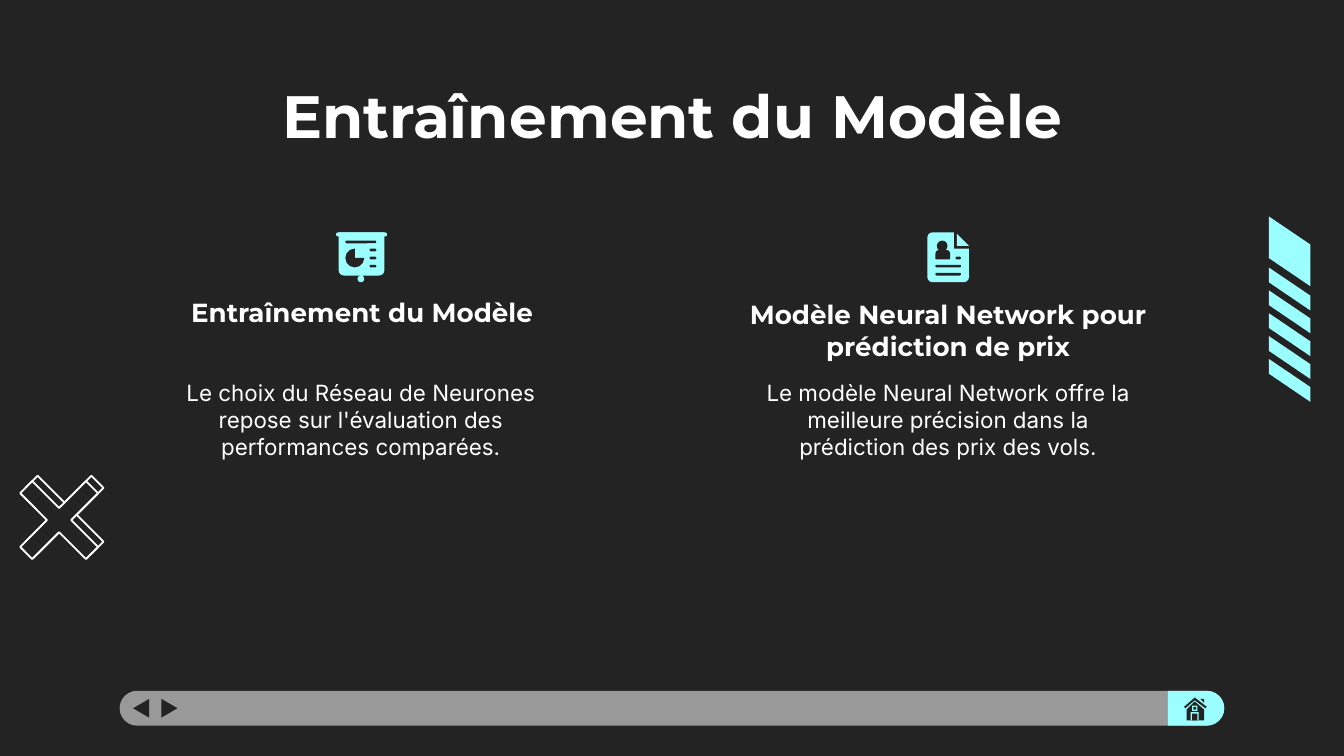
"""Builds the "Entraînement du Modèle" slide with its icons and navigation bar."""
from pptx import Presentation
from pptx.dml.color import RGBColor
from pptx.enum.shapes import MSO_SHAPE as Shape
from pptx.enum.text import MSO_ANCHOR as Anchor, PP_ALIGN as Align
from pptx.util import Inches, Pt

COLORS = {"dark": "232323", "cyan": "9CFFFF", "grey": "999999", "white": "FFFFFF"}


def rgb(name):
    return RGBColor.from_string(COLORS[name])


def paint(shape, color, outline=None):
    shape.shadow.inherit = False
    shape.fill.solid()
    shape.fill.fore_color.rgb = rgb(color)
    if outline:
        shape.line.color.rgb = rgb(outline)
        shape.line.width = Pt(1)
    else:
        shape.line.fill.background()


def add_preset(page, kind, area, color, adjust=(), rotation=0):
    shape = page.shapes.add_shape(kind, *map(Inches, area))
    for index, value in enumerate(adjust):
        shape.adjustments[index] = value
    shape.rotation = rotation
    paint(shape, color)


def add_polygon(page, points, color, outline=None):
    corners = [(Inches(x), Inches(y)) for x, y in points]
    builder = page.shapes.build_freeform(*corners[0])
    builder.add_line_segments(corners[1:], close=True)
    paint(builder.convert_to_shape(), color, outline)


def add_text(page, area, text, size, font, bold=False, anchor=Anchor.TOP):
    box = page.shapes.add_textbox(*map(Inches, area))
    frame = box.text_frame
    frame.word_wrap = True
    frame.vertical_anchor = anchor
    frame.margin_left = frame.margin_right = Inches(0.1)
    frame.margin_top = frame.margin_bottom = Inches(0.1)
    para = frame.paragraphs[0]
    para.text = text
    para.alignment = Align.CENTER
    para.font.size = Pt(size)
    para.font.name = font
    para.font.bold = bold
    para.font.color.rgb = rgb("white")


def add_rules(page, rules):
    for left, top, width in rules:
        add_preset(page, Shape.ROUNDED_RECTANGLE, (left, top, width, 0.02), "dark", [0.5])


def add_home_icon(page):
    add_polygon(page, [(8.89, 5.19), (8.98, 5.26), (8.97, 5.27), (8.89, 5.21),
                       (8.82, 5.27), (8.81, 5.26)], "dark")
    add_polygon(page, [(8.93, 5.2), (8.96, 5.2), (8.96, 5.23)], "dark")
    add_polygon(page, [(8.89, 5.22), (8.96, 5.28), (8.96, 5.36),
                       (8.83, 5.36), (8.83, 5.28)], "dark")
    for area, color in [((8.87, 5.25, 0.04, 0.04), "cyan"),
                        ((8.88, 5.26, 0.02, 0.02), "dark"),
                        ((8.86, 5.3, 0.06, 0.06), "cyan"),
                        ((8.87, 5.31, 0.04, 0.05), "dark")]:
        add_preset(page, Shape.RECTANGLE, area, color)


def add_navigation_bar(page):
    add_preset(page, Shape.ROUNDED_RECTANGLE, (0.89, 5.14, 8.21, 0.26), "grey", [0.5])
    add_preset(page, Shape.ROUND_2_SAME_RECTANGLE, (8.77, 5.06, 0.26, 0.42), "cyan",
               [0.5, 0], 90)
    for left, rotation in [(0.98, 270), (1.19, 90)]:
        add_preset(page, Shape.ISOSCELES_TRIANGLE, (left, 5.21, 0.14, 0.12), "dark",
                   rotation=rotation)
    add_home_icon(page)


def add_cross(page, x, y):
    tip, side, notch = 0.29, 0.2, 0.09
    offsets = [(-side, -tip), (0, -notch), (side, -tip), (tip, -side),
               (notch, 0), (tip, side), (side, tip), (0, notch),
               (-side, tip), (-tip, side), (-notch, 0), (-tip, -side)]
    add_polygon(page, [(x + dx, y + dy) for dx, dy in offsets], "dark", "white")


def add_stripe(page, top, height):
    left, right, drop = 9.44, 9.75, 0.21
    add_polygon(page, [(left, top), (right, top + drop),
                       (right, top + drop + height), (left, top + height)], "cyan")


def add_board_icon(page):
    add_preset(page, Shape.ROUND_2_SAME_RECTANGLE, (2.52, 1.73, 0.34, 0.32), "cyan",
               [0, 0.12])
    add_preset(page, Shape.ROUNDED_RECTANGLE, (2.5, 1.73, 0.38, 0.03), "cyan", [0.5])
    add_preset(page, Shape.RECTANGLE, (2.68, 2.04, 0.02, 0.03), "cyan")
    add_preset(page, Shape.OVAL, (2.66, 2.05, 0.05, 0.05), "cyan")
    add_preset(page, Shape.PIE, (2.57, 1.85, 0.14, 0.14), "dark")
    add_rules(page, [(2.57, 1.79, 0.23)] + [(2.75, 1.85 + 0.06 * row, 0.05)
                                            for row in range(3)])


def add_profile_icon(page):
    add_preset(page, Shape.ROUNDED_RECTANGLE, (6.9, 1.73, 0.31, 0.37), "cyan", [0.12])
    add_preset(page, Shape.RECTANGLE, (7.1, 1.72, 0.12, 0.13), "dark")
    add_preset(page, Shape.RIGHT_TRIANGLE, (7.12, 1.74, 0.09, 0.09), "cyan")
    add_preset(page, Shape.OVAL, (6.97, 1.79, 0.08, 0.08), "dark")
    add_preset(page, Shape.ROUND_2_SAME_RECTANGLE, (6.96, 1.86, 0.11, 0.07), "dark",
               [0.4, 0.1])
    add_rules(page, [(7.11, 1.91, 0.04), (6.96, 1.97, 0.19), (6.96, 2.03, 0.19)])


def main():
    deck = Presentation()
    deck.slide_width = Inches(10)
    deck.slide_height = deck.slide_width * 9 // 16
    page = deck.slides.add_slide(deck.slide_layouts[6])
    page.background.fill.solid()
    page.background.fill.fore_color.rgb = rgb("dark")

    add_navigation_bar(page)
    add_cross(page, 0.48, 3.83)
    add_cross(page, 0.44, 3.87)
    add_stripe(page, 1.61, 0.31)
    for row in range(5):
        add_stripe(page, 1.99 + 0.17 * row, 0.11)

    title = "Entraînement du Modèle"
    add_text(page, (0.79, 0.49, 8.43, 0.63), title, 32, "Montserrat", True)
    columns = [
        ((1.2, 2.17, 2.99, 0.37), title, (1.19, 2.72, 2.99, 1.82),
         "Le choix du Réseau de Neurones repose sur l'évaluation des "
         "performances comparées."),
        ((5.31, 2.16, 3.49, 0.63), "Modèle Neural Network pour prédiction de prix",
         (5.55, 2.72, 3.01, 0.73),
         "Le modèle Neural Network offre la meilleure précision dans la "
         "prédiction des prix des vols."),
    ]
    for heading_area, heading, body_area, body in columns:
        add_text(page, heading_area, heading, 14, "Montserrat", True, Anchor.BOTTOM)
        add_text(page, body_area, body, 12, "Inter")
    add_board_icon(page)
    add_profile_icon(page)
    deck.save("out.pptx")


if __name__ == "__main__":
    main()
